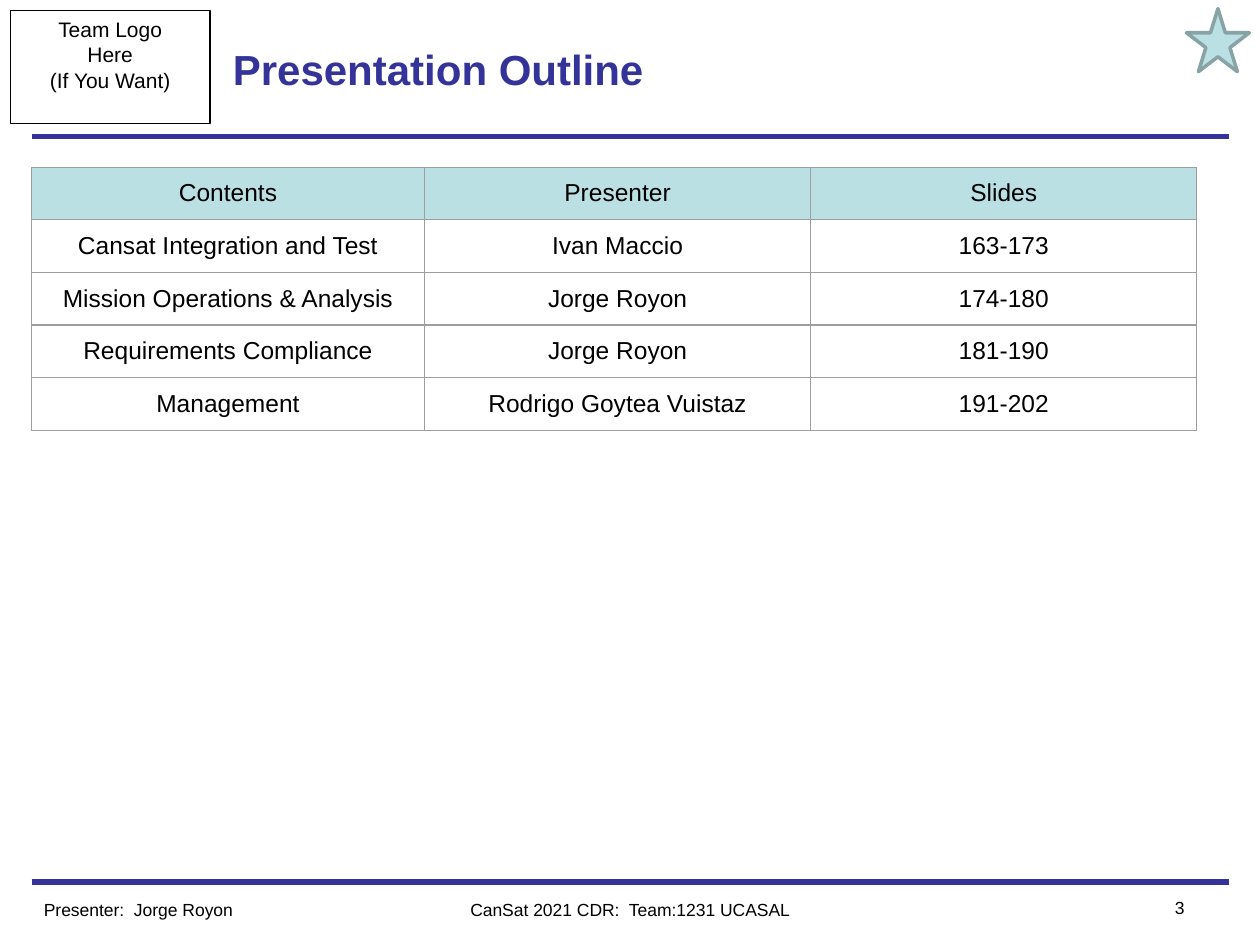
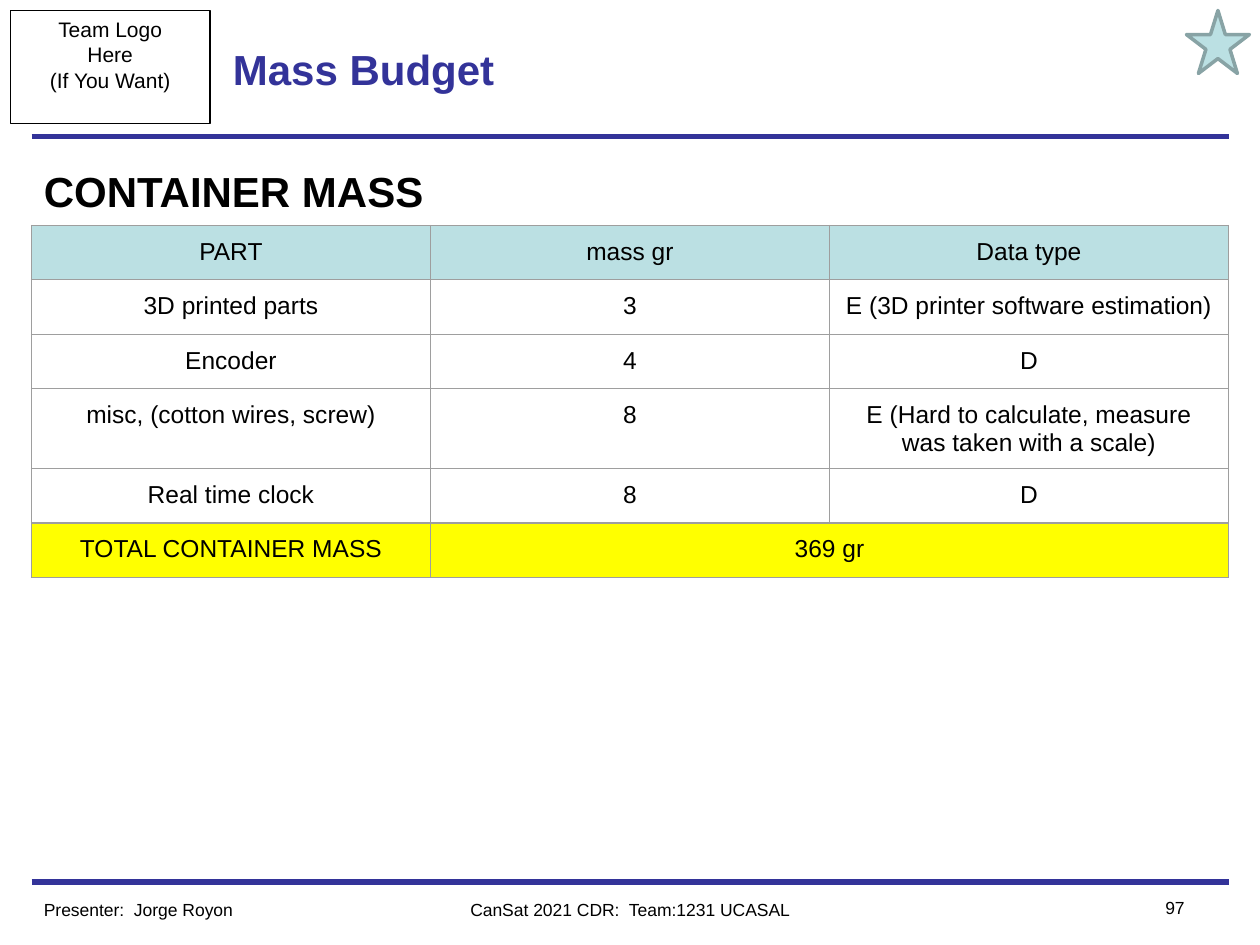
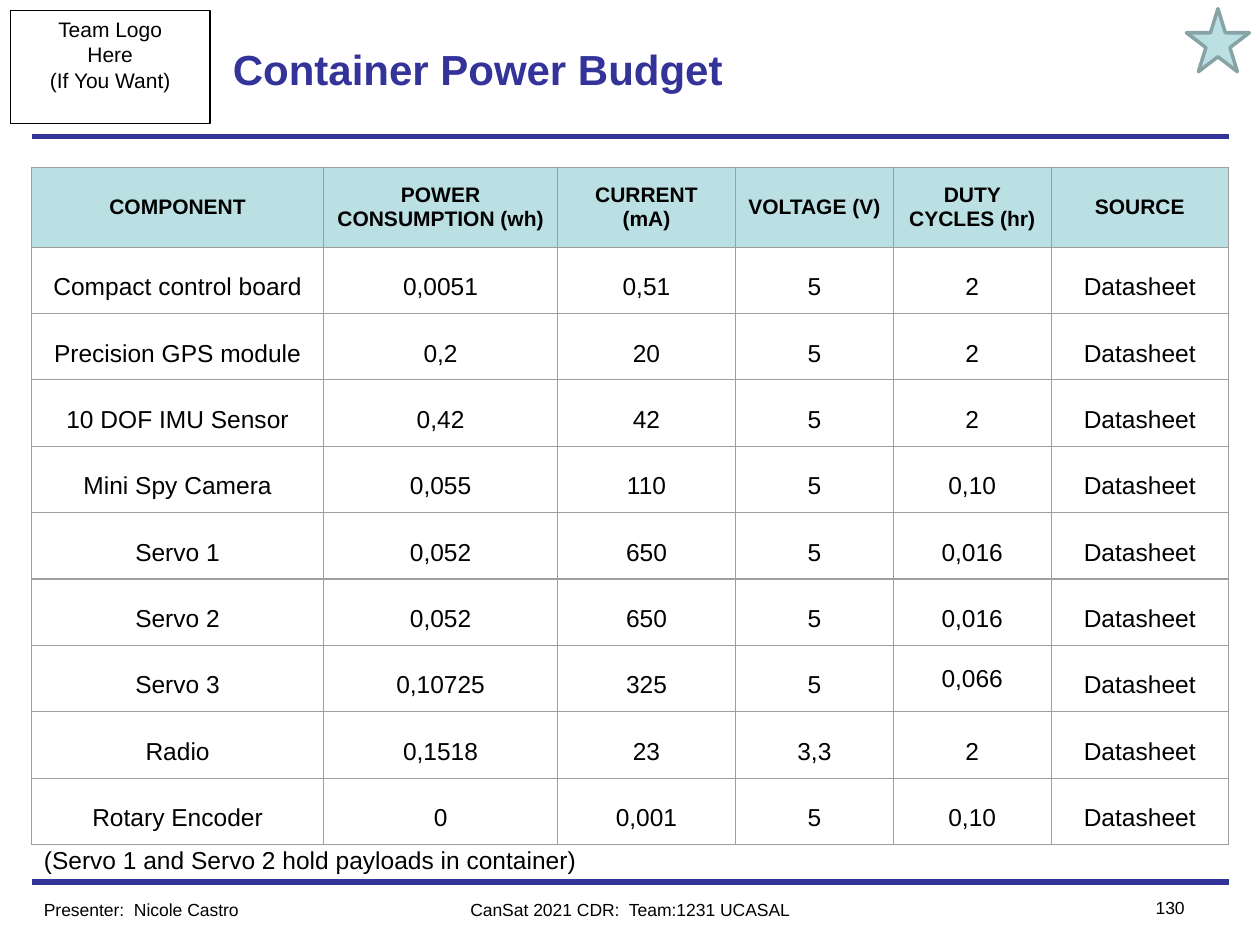
"""Build three CanSat design review slides: outline, mass budget and power budget."""
from lxml.etree import SubElement
from pptx import Presentation
from pptx.dml.color import RGBColor
from pptx.enum.shapes import MSO_CONNECTOR, MSO_SHAPE
from pptx.enum.text import MSO_ANCHOR as ANCHOR, PP_ALIGN as ALIGN
from pptx.oxml.ns import qn
from pptx.util import Pt

NAVY = RGBColor(0x33, 0x33, 0x99)
BLACK = RGBColor(0, 0, 0)
PALE_TEAL = RGBColor(0xBB, 0xE0, 0xE3)
GREY_TEAL = RGBColor(0x88, 0xA3, 0xA5)
YELLOW = RGBColor(0xFF, 0xFF, 0)
GRID_GREY = RGBColor(0x9E, 0x9E, 0x9E)
LEFT = 18
RULE_WIDTH = 684
INSET = Pt(7.2)


def write(frame, text, size, color=BLACK, bold=False, align=ALIGN.LEFT, spacing=None):
    """Fill a text frame, one paragraph per line."""
    frame.word_wrap = True
    frame.text = text
    for paragraph in frame.paragraphs:
        paragraph.alignment = align
        if spacing:
            paragraph.line_spacing = spacing
        paragraph.font.name = "Arial"
        paragraph.font.size = Pt(size)
        paragraph.font.bold = bold
        paragraph.font.color.rgb = color


def add_text(slide, box, text, size, **style):
    """Add a text box at box and return its frame."""
    frame = slide.shapes.add_textbox(*map(Pt, box)).text_frame
    write(frame, text, size, **style)
    return frame


outline = [
    ["Contents", "Presenter", "Slides"],
    ["Cansat Integration and Test", "Ivan Maccio", "163-173"],
    ["Mission Operations & Analysis", "Jorge Royon", "174-180"],
    ["Requirements Compliance", "Jorge Royon", "181-190"],
    ["Management", "Rodrigo Goytea Vuistaz", "191-202"],
]
masses = [
    ["PART", "mass gr", "Data type"],
    ["3D printed parts", "3", "E (3D printer software estimation)"],
    ["Encoder", "4", "D"],
    ["misc, (cotton wires, screw)", "8",
     "E (Hard to calculate, measure was taken with a scale)"],
    ["Real time clock", "8", "D"],
    ["TOTAL CONTAINER MASS", "369 gr", ""],
]
power = [
    ["COMPONENT", "POWER CONSUMPTION (wh)", "CURRENT (mA)", "VOLTAGE (V)",
     "DUTY CYCLES (hr)", "SOURCE"],
    ["Compact control board", "0,0051", "0,51", "5", "2", "Datasheet"],
    ["Precision GPS module", "0,2", "20", "5", "2", "Datasheet"],
    ["10 DOF IMU Sensor", "0,42", "42", "5", "2", "Datasheet"],
    ["Mini Spy Camera", "0,055", "110", "5", "0,10", "Datasheet"],
    ["Servo 1", "0,052", "650", "5", "0,016", "Datasheet"],
    ["Servo 2", "0,052", "650", "5", "0,016", "Datasheet"],
    ["Servo 3", "0,10725", "325", "5", "0,066", "Datasheet"],
    ["Radio", "0,1518", "23", "3,3", "2", "Datasheet"],
    ["Rotary Encoder", "0", "0,001", "5", "0,10", "Datasheet"],
]
pages = [
    dict(title="Presentation Outline", presenter="Jorge Royon", number=3, star_top=5,
         rows=outline, top=95.5, widths=[224.6, 220.7, 220.7], heights=[30.1] * 5),
    dict(title="Mass Budget", presenter="Jorge Royon", number=97, star_top=6,
         rows=masses, top=128.8, widths=[228] * 3,
         heights=[31.1] * 3 + [45.7] + [31.1] * 2),
    dict(title="Container Power Budget", presenter="Nicole Castro", number=130, star_top=5,
         rows=power, top=95.5, widths=[167, 133.6, 101.7, 90.2, 90.2, 101.3],
         heights=[45.7] + [37.95] * 9),
]

deck = Presentation()
deck.slide_width, deck.slide_height = Pt(720), Pt(540)

for page in pages:
    slide = deck.slides.add_slide(deck.slide_layouts[6])
    rows = page["rows"]
    is_power = rows is power

    for y in (504, 78):
        rule = slide.shapes.add_connector(
            MSO_CONNECTOR.STRAIGHT, Pt(LEFT), Pt(y), Pt(LEFT + RULE_WIDTH), Pt(y))
        rule.line.color.rgb = NAVY
        rule.line.width = Pt(3)
        SubElement(rule._element.spPr, qn("a:effectLst"))

    logo_space = slide.shapes.add_shape(MSO_SHAPE.RECTANGLE, Pt(6), Pt(6), Pt(114), Pt(64.6))
    logo_space.shadow.inherit = False
    logo_space.fill.background()
    logo_space.line.color.rgb = BLACK
    logo_space.line.width = Pt(0.75)
    logo_space.text_frame.vertical_anchor = ANCHOR.TOP
    write(logo_space.text_frame, "Team Logo\nHere\n(If You Want)", 12, align=ALIGN.CENTER)

    add_text(slide, (216, 510, 288, 19.5), "CanSat 2021 CDR:  Team:1231 UCASAL", 10,
             align=ALIGN.CENTER)
    add_text(slide, (630, 509, 54, 19.5), str(page["number"]), 10, align=ALIGN.RIGHT)
    add_text(slide, (LEFT, 510, 180, 19.5), f"Presenter:  {page['presenter']}", 10)
    title = add_text(slide, (126, 6, 468, 66), page["title"], 24, color=NAVY, bold=True)
    title.vertical_anchor = ANCHOR.MIDDLE

    star = slide.shapes.add_shape(
        MSO_SHAPE.STAR_5_POINT, Pt(678), Pt(page["star_top"]), Pt(36), Pt(36))
    star.shadow.inherit = False
    star.fill.solid()
    star.fill.fore_color.rgb = PALE_TEAL
    star.line.color.rgb = GREY_TEAL
    star.line.width = Pt(2)

    if rows is masses:
        add_text(slide, (LEFT, 91, 496, 36), "CONTAINER MASS", 24, bold=True)

    grid = slide.shapes.add_table(
        len(rows), len(rows[0]), Pt(LEFT), Pt(page["top"]),
        Pt(sum(page["widths"])), Pt(sum(page["heights"]))).table
    grid.first_row = grid.horz_banding = False
    for column, width in zip(grid.columns, page["widths"]):
        column.width = Pt(width)
    for row, height in zip(grid.rows, page["heights"]):
        row.height = Pt(height)

    for r, values in enumerate(rows):
        for c, value in enumerate(values):
            cell = grid.cell(r, c)
            cell.margin_left = cell.margin_right = INSET
            cell.margin_top = Pt(6) if is_power else INSET
            cell.margin_bottom = Pt(6) if is_power else Pt(4.5)
            cell.vertical_anchor = ANCHOR.MIDDLE if is_power else ANCHOR.TOP
            for side in ("a:lnL", "a:lnR", "a:lnT", "a:lnB"):
                edge = SubElement(cell._tc.get_or_add_tcPr(), qn(side), w=str(Pt(0.75)))
                SubElement(SubElement(edge, qn("a:solidFill")), qn("a:srgbClr"),
                           val=str(GRID_GREY))
            is_total = values[0].startswith("TOTAL")
            if r == 0 or is_total:
                cell.fill.solid()
                cell.fill.fore_color.rgb = YELLOW if is_total else PALE_TEAL
            else:
                cell.fill.background()
            power_header = is_power and r == 0
            loose = is_power and r > 0 and value != "0,066"
            write(cell.text_frame, value, 12 if power_header else 14, bold=power_header,
                  align=ALIGN.CENTER, spacing=1.5 if loose else None)

    if rows is masses:
        grid.cell(5, 1).merge(grid.cell(5, 2))
    if is_power:
        note = add_text(slide, (LEFT, 467.3, 409, 31.7),
                        "(Servo 1 and Servo 2 hold payloads in container)", 14,
                        align=ALIGN.JUSTIFY, spacing=1.5)
        note.margin_top = note.margin_bottom = INSET

deck.save("out.pptx")
